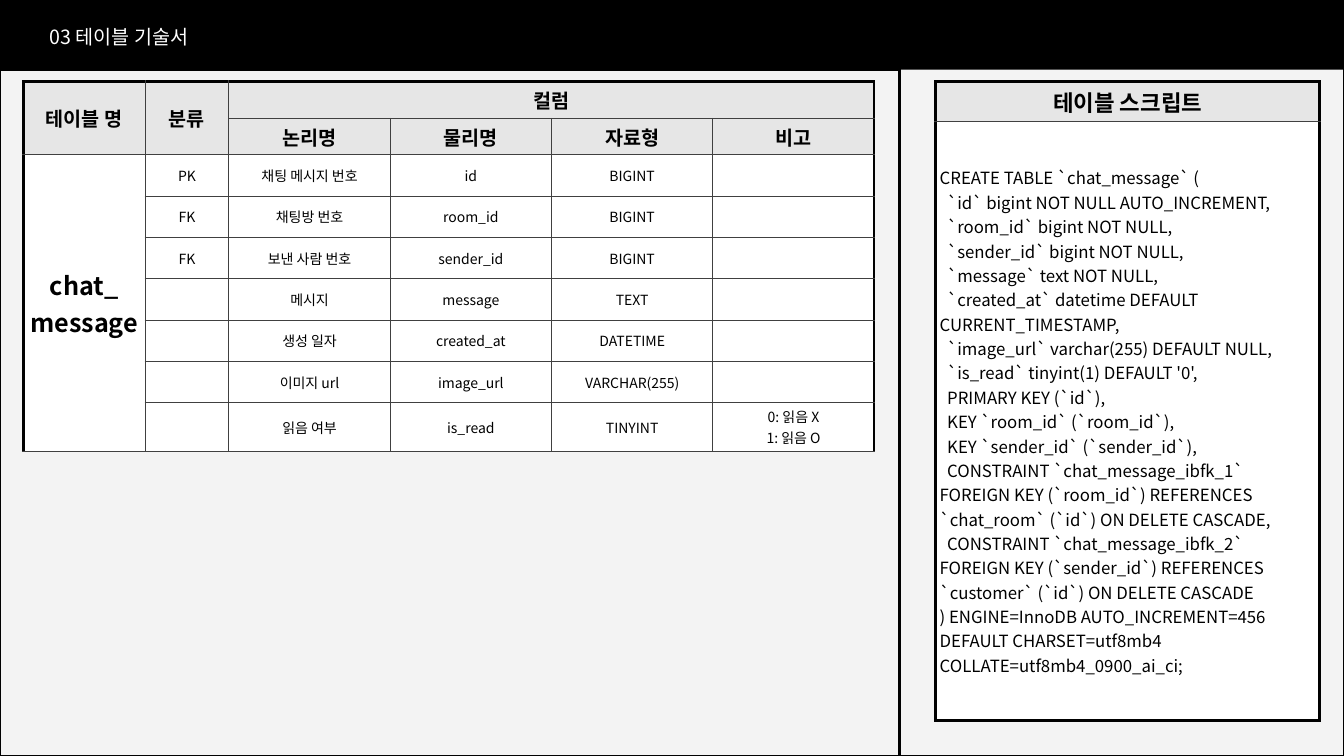
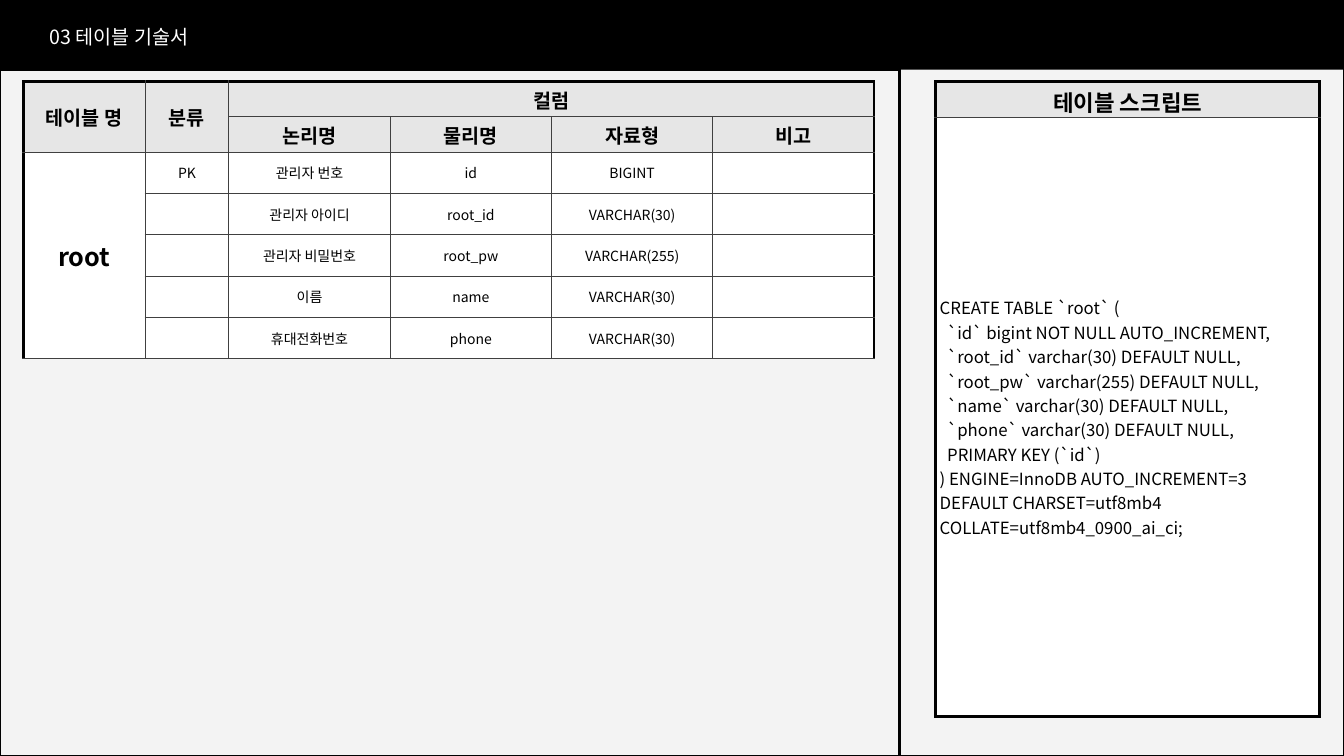
from dataclasses import dataclass

from lxml.etree import SubElement
from pptx import Presentation
from pptx.dml.color import RGBColor
from pptx.enum.shapes import MSO_SHAPE
from pptx.enum.text import MSO_ANCHOR, PP_ALIGN
from pptx.oxml.ns import qn
from pptx.presentation import Presentation as Deck
from pptx.slide import Slide
from pptx.table import Table, _Cell
from pptx.text.text import TextFrame
from pptx.util import Emu, Inches, Pt


@dataclass(frozen=True)
class Theme:
    font: str = "Noto Sans CJK KR"
    black: str = "000000"
    white: str = "FFFFFF"
    page: str = "F3F3F3"
    head: str = "E6E6E6"
    rule: str = "404040"
    thin: float = 0.75
    panel: float = 1.5
    heavy: float = 2.25
    name: int = 18
    script_head: int = 16
    title: int = 14
    code: int = 12
    body: int = 10
    no_style: str = "{2D5ABB26-0587-4C30-8999-92F81FD0307C}"


@dataclass(frozen=True)
class Box:
    x: float
    y: float
    w: float
    h: float

    def emu(self) -> tuple[Emu, Emu, Emu, Emu]:
        return Inches(self.x), Inches(self.y), Inches(self.w), Inches(self.h)


@dataclass(frozen=True)
class Column:
    key: str
    logical: str
    physical: str
    kind: str
    note: str = ""

    def cells(self) -> tuple[str, ...]:
        return self.key, self.logical, self.physical, self.kind, self.note


@dataclass(frozen=True)
class TableSpec:
    name: str
    columns: tuple[Column, ...]
    script: str


T = Theme()
SLIDE_W, SLIDE_H = 13.33, 7.5
BAND_H = 0.69
SPLIT = 8.92
TABLE_TOP = 0.81
TITLE = "03 테이블 기술서"
BAND = Box(0, 0, SLIDE_W, BAND_H)
PANELS = (
    Box(0, BAND_H, SPLIT, SLIDE_H - BAND_H),
    Box(SPLIT + 0.01, 0.39, SLIDE_W - SPLIT - 0.01, SLIDE_H - 0.39),
)
TITLE_BOX = Box(0.39, 0.2, 6.67, 0.34)
GROUPS = ("테이블 명", "분류", "컬럼")
FIELDS = ("논리명", "물리명", "자료형", "비고")
COL_W = (1.21, 0.83) + (1.6,) * len(FIELDS)
HEAD_H, ROW_H = 0.35, 0.41
SCRIPT_BOX = Box(9.28, TABLE_TOP, 3.81, 6.3)
SCRIPT_HEAD_H = 0.36

SPECS = (
    TableSpec(
        "chat_\vmessage",
        (
            Column("PK", "채팅 메시지 번호", "id", "BIGINT"),
            Column("FK", "채팅방 번호", "room_id", "BIGINT"),
            Column("FK", "보낸 사람 번호", "sender_id", "BIGINT"),
            Column("", "메시지", "message", "TEXT"),
            Column("", "생성 일자", "created_at", "DATETIME"),
            Column("", "이미지 url", "image_url", "VARCHAR(255)"),
            Column("", "읽음 여부", "is_read", "TINYINT", "0: 읽음 X\n1: 읽음 O"),
        ),
        """CREATE TABLE `chat_message` (
  `id` bigint NOT NULL AUTO_INCREMENT,
  `room_id` bigint NOT NULL,
  `sender_id` bigint NOT NULL,
  `message` text NOT NULL,
  `created_at` datetime DEFAULT CURRENT_TIMESTAMP,
  `image_url` varchar(255) DEFAULT NULL,
  `is_read` tinyint(1) DEFAULT '0',
  PRIMARY KEY (`id`),
  KEY `room_id` (`room_id`),
  KEY `sender_id` (`sender_id`),
  CONSTRAINT `chat_message_ibfk_1` FOREIGN KEY (`room_id`) REFERENCES `chat_room` (`id`) ON DELETE CASCADE,
  CONSTRAINT `chat_message_ibfk_2` FOREIGN KEY (`sender_id`) REFERENCES `customer` (`id`) ON DELETE CASCADE
) ENGINE=InnoDB AUTO_INCREMENT=456 DEFAULT CHARSET=utf8mb4 COLLATE=utf8mb4_0900_ai_ci;""",
    ),
    TableSpec(
        "root",
        (
            Column("PK", "관리자 번호", "id", "BIGINT"),
            Column("", "관리자 아이디", "root_id", "VARCHAR(30)"),
            Column("", "관리자 비밀번호", "root_pw", "VARCHAR(255)"),
            Column("", "이름", "name", "VARCHAR(30)"),
            Column("", "휴대전화번호", "phone", "VARCHAR(30)"),
        ),
        """CREATE TABLE `root` (
  `id` bigint NOT NULL AUTO_INCREMENT,
  `root_id` varchar(30) DEFAULT NULL,
  `root_pw` varchar(255) DEFAULT NULL,
  `name` varchar(30) DEFAULT NULL,
  `phone` varchar(30) DEFAULT NULL,
  PRIMARY KEY (`id`)
) ENGINE=InnoDB AUTO_INCREMENT=3 DEFAULT CHARSET=utf8mb4 COLLATE=utf8mb4_0900_ai_ci;""",
    ),
)


def rgb(color: str) -> RGBColor:
    return RGBColor.from_string(color)


def write(tf: TextFrame, text: str, size: int, color: str = T.black,
          bold: bool = False, align: PP_ALIGN = PP_ALIGN.CENTER) -> None:
    tf.text = text
    for p in tf.paragraphs:
        p.alignment = align
        p.font.name, p.font.size, p.font.bold = T.font, Pt(size), bold
        p.font.color.rgb = rgb(color)
        defaults = p._p.pPr.find(qn("a:defRPr"))
        SubElement(defaults, qn("a:ea"), typeface=T.font)
        if not p.runs:
            SubElement(p._p, qn("a:endParaRPr"), sz=str(size * 100))


def add_rect(s: Slide, box: Box, fill: str = "", line: str = "") -> None:
    sp = s.shapes.add_shape(MSO_SHAPE.RECTANGLE, *box.emu())
    sp.shadow.inherit = False
    if fill:
        sp.fill.solid()
        sp.fill.fore_color.rgb = rgb(fill)
    else:
        sp.fill.background()
    if line:
        sp.line.color.rgb = rgb(line)
        sp.line.width = Pt(T.panel)
    else:
        sp.line.fill.background()


def set_border(cell: _Cell, side: str, heavy: bool) -> None:
    width, color = (T.heavy, T.black) if heavy else (T.thin, T.rule)
    ln = SubElement(cell._tc.get_or_add_tcPr(), qn(f"a:ln{side}"), w=str(Pt(width)))
    SubElement(SubElement(ln, qn("a:solidFill")), qn("a:srgbClr"), val=color)


def finish_cells(table: Table, head_rows: int, heavy_bottom: bool) -> None:
    n_rows, n_cols = len(table.rows), len(table.columns)
    for r in range(n_rows):
        for c in range(n_cols):
            cell = table.cell(r, c)
            cell.margin_left = cell.margin_right = Inches(0.04)
            cell.margin_top = cell.margin_bottom = Inches(0.04)
            cell.vertical_anchor = MSO_ANCHOR.MIDDLE
            if not cell.is_spanned:
                right = c + (cell.span_width if cell.is_merge_origin else 1)
                bottom = r + (cell.span_height if cell.is_merge_origin else 1)
                set_border(cell, "L", c == 0)
                set_border(cell, "R", right == n_cols)
                set_border(cell, "T", r == 0)
                set_border(cell, "B", heavy_bottom and bottom == n_rows)
            cell.fill.solid()
            cell.fill.fore_color.rgb = rgb(T.head if r < head_rows else T.white)


def new_table(s: Slide, x: float, widths: tuple[float, ...],
              heights: tuple[float, ...]) -> Table:
    box = Box(x, TABLE_TOP, sum(widths), sum(heights))
    table = s.shapes.add_table(len(heights), len(widths), *box.emu()).table
    table.first_row = table.horz_banding = False
    table._tbl.tblPr.find(qn("a:tableStyleId")).text = T.no_style
    for column, width in zip(table.columns, widths):
        column.width = Inches(width)
    for row, height in zip(table.rows, heights):
        row.height = Inches(height)
    return table


def add_column_table(s: Slide, spec: TableSpec) -> None:
    n = len(spec.columns)
    table = new_table(s, 0.23, COL_W, (HEAD_H,) * 2 + (ROW_H,) * n)
    last = len(COL_W) - 1
    for first, end in (((0, 0), (1, 0)), ((0, 1), (1, 1)),
                       ((0, 2), (0, last)), ((2, 0), (n + 1, 0))):
        table.cell(*first).merge(table.cell(*end))
    rows = [GROUPS + ("",) * 3, ("", "") + FIELDS]
    rows += [(spec.name if i == 0 else "",) + column.cells()
             for i, column in enumerate(spec.columns)]
    for r, row in enumerate(rows):
        for c, text in enumerate(row):
            is_name = bool(text) and r == 2 and c == 0
            size = T.name if is_name else T.title if r < 2 and text else T.body
            write(table.cell(r, c).text_frame, text, size, bold=r < 2 or is_name)
    finish_cells(table, head_rows=2, heavy_bottom=False)


def add_script_table(s: Slide, script: str) -> None:
    table = new_table(s, SCRIPT_BOX.x, (SCRIPT_BOX.w,),
                      (SCRIPT_HEAD_H, SCRIPT_BOX.h - SCRIPT_HEAD_H))
    write(table.cell(0, 0).text_frame, "테이블 스크립트", T.script_head, bold=True)
    write(table.cell(1, 0).text_frame, script, T.code, align=PP_ALIGN.LEFT)
    finish_cells(table, head_rows=1, heavy_bottom=True)


def add_spec_slide(prs: Deck, spec: TableSpec) -> None:
    s = prs.slides.add_slide(prs.slide_layouts[6])
    s.background.fill.solid()
    s.background.fill.fore_color.rgb = rgb(T.page)
    add_rect(s, BAND, fill=T.black)
    for panel in PANELS:
        add_rect(s, panel, line=T.black)
    add_column_table(s, spec)
    add_script_table(s, spec.script)
    tf = s.shapes.add_textbox(*TITLE_BOX.emu()).text_frame
    tf.word_wrap = True
    write(tf, TITLE, T.title, T.white, align=PP_ALIGN.LEFT)


def main() -> None:
    prs = Presentation()
    prs.slide_width, prs.slide_height = Inches(SLIDE_W), Inches(SLIDE_H)
    for spec in SPECS:
        add_spec_slide(prs, spec)
    prs.save("out.pptx")


if __name__ == "__main__":
    main()
